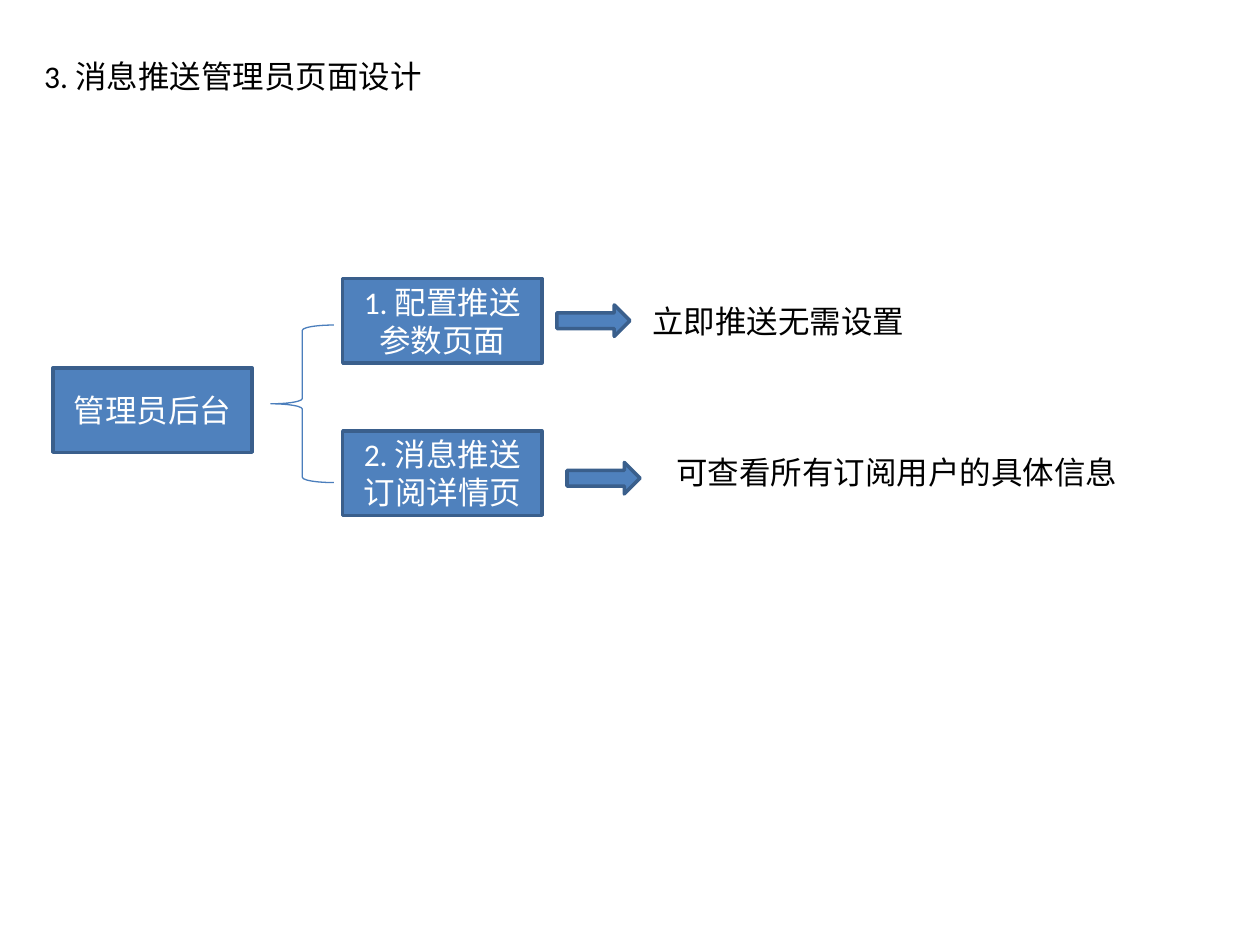
"""Builds the slide on the push administrator page design."""
from dataclasses import dataclass

from pptx import Presentation
from pptx import util as u
from pptx.dml.color import RGBColor
from pptx.enum import shapes, text

BLUE = RGBColor(0x4F, 0x81, 0xBD)
DARK_BLUE = RGBColor(0x3A, 0x5F, 0x8C)
BRACE_BLUE = RGBColor(0x4B, 0x7E, 0xBC)
BLACK = RGBColor(0, 0, 0)
WHITE = RGBColor(255, 255, 255)
BOX_SIZE = (1.58, 0.67)
ARROW_SIZE = (0.58, 0.25)
PAGE_LEFT = 2.72


@dataclass
class Page:
    """An administrator page with its arrow and explanation."""
    name: str
    top: float
    arrow: tuple[float, float]
    note: str
    note_at: tuple[float, float, float]


PAGES = [
    Page("1. 配置推送参数页面", 2.21, (4.42, 2.42),
         "立即推送无需设置", (5.08, 2.35, 2.22)),
    Page("2. 消息推送订阅详情页", 3.42, (4.5, 3.67),
         "可查看所有订阅用户的具体信息", (5.27, 3.55, 3.74)),
]


def write(holder, words: str, color: RGBColor, align, anchor) -> None:
    """Put one 18 point paragraph into a shape."""
    frame = holder.text_frame
    frame.text = words
    frame.word_wrap = True
    frame.auto_size = text.MSO_AUTO_SIZE.NONE
    frame.vertical_anchor = anchor
    paragraph = frame.paragraphs[0]
    paragraph.alignment = align
    font = paragraph.runs[0].font
    font.name, font.size = "Calibri", u.Pt(18)
    font.color.rgb = color


def write_plain(holder, words: str) -> None:
    """Write black text from the top left."""
    write(holder, words, BLACK, text.PP_ALIGN.LEFT, text.MSO_ANCHOR.TOP)


def add_figure(slide, kind, left: float, top: float, size: tuple[float, float]):
    """Add a blue preset shape with a dark outline."""
    figure = slide.shapes.add_shape(
        kind, *(u.Inches(length) for length in (left, top, *size)))
    figure.shadow.inherit = False
    figure.fill.solid()
    figure.fill.fore_color.rgb = BLUE
    figure.line.color.rgb = DARK_BLUE
    figure.line.width = u.Pt(2)
    return figure


def add_box(slide, words: str, left: float, top: float) -> None:
    """Add a labelled rectangle."""
    box = add_figure(slide, shapes.MSO_SHAPE.RECTANGLE, left, top, BOX_SIZE)
    write(box, words, WHITE, text.PP_ALIGN.CENTER, text.MSO_ANCHOR.MIDDLE)


def add_brace(slide) -> None:
    """Add the thin brace that joins the back end to its pages."""
    brace = add_figure(slide, shapes.MSO_SHAPE.LEFT_BRACE, 2.15, 2.58, (0.5, 1.25))
    brace.fill.background()
    brace.line.color.rgb = BRACE_BLUE
    brace.line.width = u.Pt(0.75)


def add_page(slide, page: Page) -> None:
    """Add a page box, its arrow and its explanation."""
    add_box(slide, page.name, PAGE_LEFT, page.top)
    add_figure(slide, shapes.MSO_SHAPE.RIGHT_ARROW, *page.arrow, ARROW_SIZE)
    left, top, width = page.note_at
    note = slide.shapes.add_textbox(
        u.Inches(left), u.Inches(top), u.Inches(width), u.Inches(0.4))
    write_plain(note, page.note)


def main() -> None:
    """Build and save the slide."""
    deck = Presentation()
    deck.slide_width, deck.slide_height = u.Inches(10), u.Inches(7.5)
    slide = deck.slides.add_slide(deck.slide_layouts[5])
    title = slide.shapes.title
    title.left, title.top = u.Inches(0.25), u.Inches(0.4)
    title.width, title.height = u.Inches(3.23), u.Inches(0.4)
    write_plain(title, "3. 消息推送管理员页面设计")
    add_box(slide, "管理员后台", 0.42, 2.92)
    add_brace(slide)
    for page in PAGES:
        add_page(slide, page)
    deck.save("out.pptx")


main()
